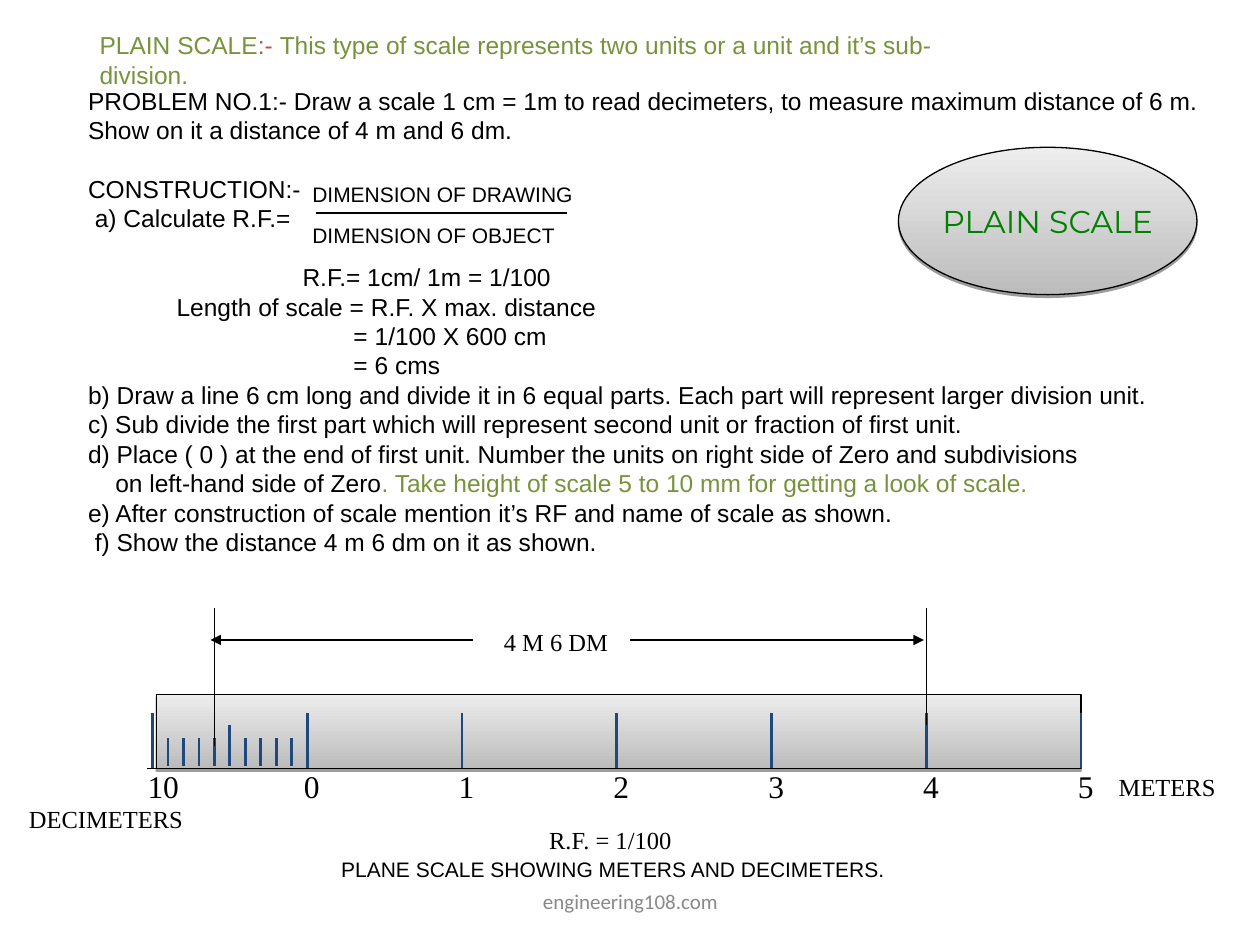
import pptx
import pptx.dml.color
import pptx.enum.shapes
import pptx.enum.text
import pptx.oxml
import pptx.oxml.ns
import pptx.util

Pt = pptx.util.Pt
ALIGN = pptx.enum.text.PP_ALIGN
ANCHOR = pptx.enum.text.MSO_ANCHOR
SHAPE = pptx.enum.shapes.MSO_SHAPE
NS = pptx.oxml.ns.nsdecls("a")
SERIF = "Times New Roman"
PITCH = 16.8
HEX = {"ink": "000000", "green": "77933C", "red": "C0504D", "tick": "1F497D",
       "badge": "008000", "grey": "898989", "dark": "BCBCBC", "light": "EDEDED"}


def tint(name):
    return pptx.dml.color.RGBColor.from_string(HEX[name])


def write(frame, *paras, size=14, font="Arial", color="ink", align=ALIGN.LEFT,
          anchor=ANCHOR.TOP, wrap=False, pitch=None):
    """Each paragraph is (indent, space before, run, ...); a run is text or (text, color)."""
    frame.word_wrap = wrap
    frame.auto_size = pptx.enum.text.MSO_AUTO_SIZE.NONE
    frame.vertical_anchor = anchor
    for i, (indent, gap, *runs) in enumerate(paras):
        para = frame.add_paragraph() if i else frame.paragraphs[0]
        para.alignment = align
        if indent:
            para._p.get_or_add_pPr().set("marL", str(Pt(indent)))
        if gap:
            para.space_before = Pt(gap)
        if pitch:
            para.line_spacing = Pt(pitch)
        for part in runs:
            words, hue = (part, color) if isinstance(part, str) else part
            run = para.add_run()
            run.text = words
            run.font.size = Pt(size)
            run.font.name = font
            run.font.color.rgb = tint(hue)


def label(slide, words, x, y, w, h, **style):
    box = slide.shapes.add_textbox(Pt(x), Pt(y), Pt(w), Pt(h))
    write(box.text_frame, (0, 0, words), **style)


def line(slide, x1, y1, x2, y2, color="ink", width=0.75, arrow=False):
    rule = slide.shapes.add_connector(pptx.enum.shapes.MSO_CONNECTOR.STRAIGHT,
                                      Pt(x1), Pt(y1), Pt(x2), Pt(y2))
    rule.line.color.rgb = tint(color)
    rule.line.width = Pt(width)
    if arrow:
        rule.line._get_or_add_ln().append(
            pptx.oxml.parse_xml(f'<a:tailEnd {NS} type="triangle"/>'))
    rule._element.spPr.append(pptx.oxml.parse_xml(f"<a:effectLst {NS}/>"))


def panel(slide, kind, x, y, w, h):
    """Add a grey shaded shape with a thin outline and a hard shadow below."""
    shape = slide.shapes.add_shape(kind, Pt(x), Pt(y), Pt(w), Pt(h))
    shape.fill.gradient()
    shape.fill.gradient_angle = 90
    for stop, name in zip(shape.fill.gradient_stops, ("dark", "light")):
        stop.color.rgb = tint(name)
    shape.line.color.rgb = tint("ink")
    shape.line.width = Pt(0.75)
    shape.shadow.inherit = False
    shape._element.spPr.find(pptx.oxml.ns.qn("a:effectLst")).append(
        pptx.oxml.parse_xml(
            f'<a:outerShdw {NS} blurRad="0" dist="{Pt(1.6)}" dir="5400000" rotWithShape="0">'
            f'<a:srgbClr val="{HEX["ink"]}"><a:alpha val="38000"/></a:srgbClr></a:outerShdw>'))
    return shape


def head(slide, x, y, w, h):
    title = slide.shapes.title
    title.left, title.top, title.width, title.height = Pt(x), Pt(y), Pt(w), Pt(h)
    write(title.text_frame,
          (0, 0, "PLAIN SCALE", (":- ", "red"),
           "This type of scale represents two units or a unit and it’s sub-division."),
          color="green", wrap=True)


def steps(slide, x, y, w, h):
    """Place the problem, its working and the fraction beside step a."""
    box = slide.shapes.add_textbox(Pt(x), Pt(y), Pt(w), Pt(h))
    write(box.text_frame,
          (0, 0, "PROBLEM NO.1:- Draw a scale 1 cm = 1m to read decimeters, "
                 "to measure maximum distance of 6 m."),
          (0, 0, "Show on it a distance of 4 m and 6 dm."),
          (0, PITCH, "CONSTRUCTION:-"),
          (3.9, 0, "a) Calculate R.F.="),
          (122.6, PITCH, "R.F.= 1cm/ 1m = 1/100"),
          (50.6, 0, "Length of scale = R.F. X max. distance"),
          (151.7, 0, "= 1/100 X 600 cm"),
          (151.7, 0, "= 6 cms"),
          (0, 0, "b) Draw a line 6 cm long and divide it in 6 equal parts. "
                 "Each part will represent larger division unit."),
          (0, 0, "c) Sub divide the first part which will represent second unit "
                 "or fraction of first unit."),
          (0, 0, "d) Place ( 0 ) at the end of first unit. Number the units on right side "
                 "of Zero and subdivisions"),
          (15.6, 0, "on left-hand side of Zero",
           (". Take height of scale 5 to 10 mm for getting a look of scale.", "green")),
          (0, 0, "e) After construction of scale mention it’s RF and name of scale as shown."),
          (3.9, 0, "f) Show the distance 4 m 6 dm on it as shown."),
          pitch=PITCH)
    left = x + 128.2
    label(slide, "DIMENSION OF DRAWING", left, y + 54.7, 163.4, 21.6, size=12)
    label(slide, "DIMENSION OF OBJECT", left, y + 78.5, 152.6, 21.6, size=12)
    line(slide, left + 9.3, y + 76.3, left + 152.6, y + 76.3, width=1.5)


def badge(slide, x, y, w, h):
    oval = panel(slide, SHAPE.OVAL, x, y, w, h)
    write(oval.text_frame, (0, 0, "PLAIN SCALE"), size=18, font="Montserrat",
          color="badge", align=ALIGN.CENTER, anchor=ANCHOR.MIDDLE)


def scale(slide, x, y, w, h):
    """Draw the ruled bar, its numbers and the marked distance above it."""
    panel(slide, SHAPE.RECTANGLE, x, y, w, h)
    base = y + h
    unit = 88.45
    zero = x + w - 5 * unit
    start = zero - unit
    for i, mark in enumerate(["10", "0", "1", "2", "3", "4", "5"]):
        at = start + i * unit
        line(slide, at, base - 31.7, at, base, "tick", 1.5)
        mid = at + (2.6 if i else 6.2)
        label(slide, mark, mid - 16, base - 4.5, 32, 28.8, size=18, font=SERIF,
              align=ALIGN.CENTER)
    for i in range(1, 10):
        at = start + i * unit / 10
        line(slide, at, base - (25.2 if i == 5 else 17.3), at, base - 1.4, "tick", 1.5)
    line(slide, start - 2.9, base, x + w, base)

    near, far = zero - 0.6 * unit, zero + 4 * unit
    top = y - 49
    line(slide, far, base - 25.2, far, top)
    line(slide, near, base - 13, near, top)
    line(slide, 360, top + 18, far - 1.4, top + 18, arrow=True)
    line(slide, 270, top + 18, near - 2.2, top + 18, arrow=True)
    for words, left, up, wide in [("4 M 6 DM", 280.8, top + 7.2, 74.2),
                                  ("METERS", x + w + 14.4, base - 1.4, 69.8),
                                  ("DECIMETERS", x - 79.9, base + 16.6, 102.2),
                                  ("R.F. = 1/100", 306.7, base + 28.8, 85.7)]:
        label(slide, words, left, up, wide, 24.5, font=SERIF)


def foot(slide, x, y, w, h):
    label(slide, "PLANE SCALE SHOWING METERS AND DECIMETERS.", x, y, w, 21.6, size=12)
    label(slide, "engineering108.com", x + 58.3, y + h - 28.8, 228.2, 28.8, size=12,
          font="Calibri", color="grey", align=ALIGN.CENTER, anchor=ANCHOR.MIDDLE, wrap=True)


def main():
    deck = pptx.Presentation()
    deck.slide_width, deck.slide_height = Pt(720), Pt(540)
    slide = deck.slides.add_slide(deck.slide_layouts[5])
    head(slide, 49.7, 13.7, 538.6, 24.5)
    scale(slide, 89.3, 396.7, 528.5, 42.5)
    steps(slide, 43.2, 45.4, 648.7, 310.3)
    badge(slide, 513.4, 84.2, 170.6, 84.2)
    foot(slide, 187.9, 486, 325.4, 43.2)
    deck.save("out.pptx")


if __name__ == "__main__":
    main()
